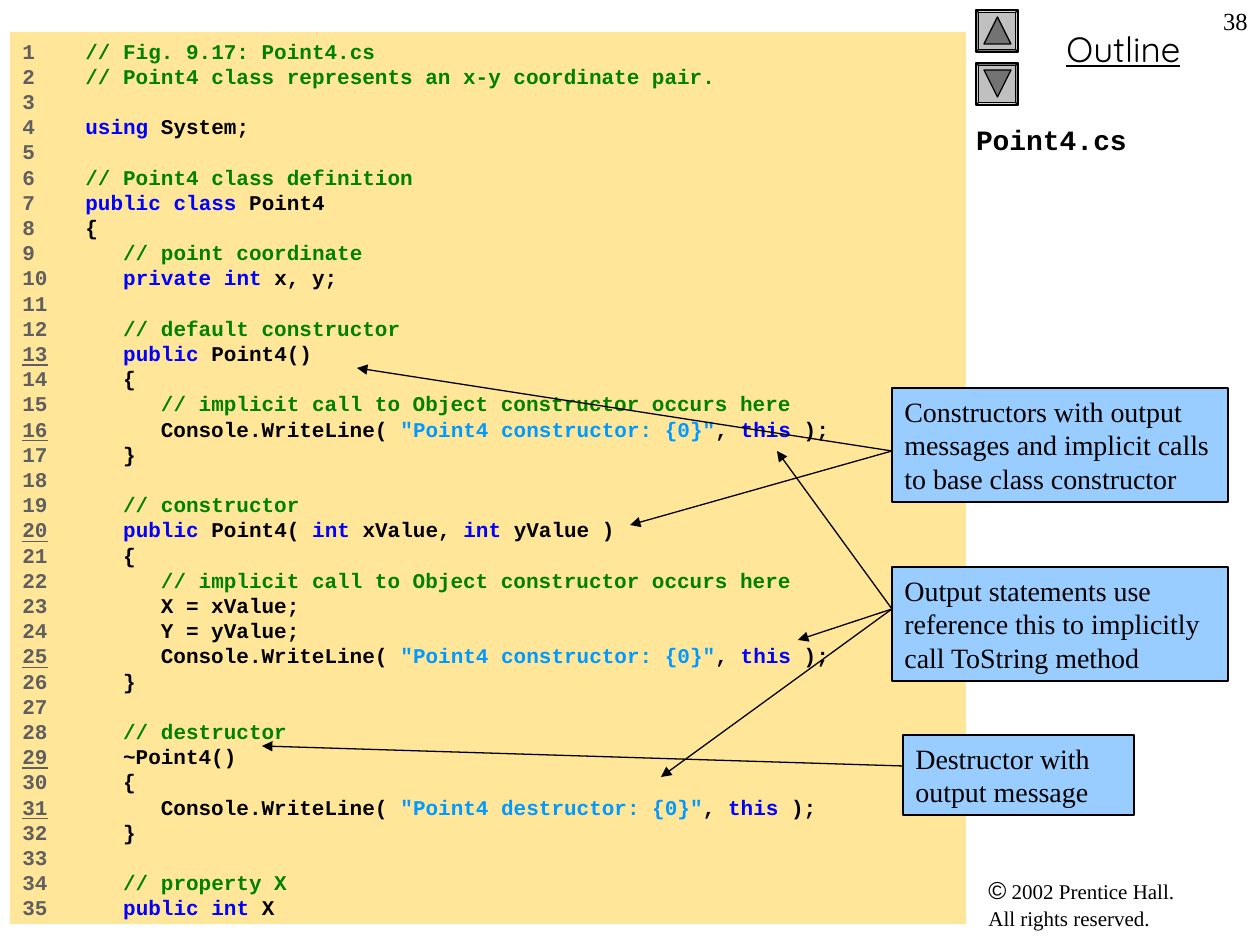
from itertools import groupby

from lxml import etree
from pptx import Presentation
from pptx.dml.color import RGBColor
from pptx.enum.shapes import MSO_CONNECTOR, MSO_SHAPE
from pptx.enum.text import MSO_ANCHOR, PP_ALIGN
from pptx.oxml.ns import qn
from pptx.util import Pt

EMU_PER_PX = 914400 / 126
LINE_FACTOR = 1.2
BLACK, NUMBER_GRAY = "000000", "5F5F5F"
COMMENT_GREEN, KEYWORD_BLUE, STRING_BLUE = "008000", "0000FF", "0099FF"
SERIF, MONO = "Times New Roman", "Courier New"
KEYWORDS = {"using", "public", "private", "class", "int", "this"}
UNDERLINED_NUMBERS = {13, 16, 20, 25, 29, 31}
GUTTER_WIDTH = 5

CODE = """\
// Fig. 9.17: Point4.cs
// Point4 class represents an x-y coordinate pair.

using System;

// Point4 class definition
public class Point4
{
   // point coordinate
   private int x, y;

   // default constructor
   public Point4()
   {
      // implicit call to Object constructor occurs here
      Console.WriteLine( "Point4 constructor: {0}", this );
   }

   // constructor
   public Point4( int xValue, int yValue )
   {
      // implicit call to Object constructor occurs here
      X = xValue;
      Y = yValue;
      Console.WriteLine( "Point4 constructor: {0}", this );
   }

   // destructor
   ~Point4()
   {
      Console.WriteLine( "Point4 destructor: {0}", this );
   }

   // property X
   public int X"""

# Box, text, height where the arrows start, arrow tips
CALLOUTS = [
    ((892, 388, 336, 114),
     "Constructors with output messages and implicit calls to base class constructor",
     451, [(357, 368), (630, 525)]),
    ((903, 735, 231, 80), "Destructor with output message", 766, [(262, 746)]),
    ((892, 567, 336, 114),
     "Output statements use reference this to implicitly call ToString method",
     609, [(777, 451), (798, 640), (661, 777)]),
]


def px(value):
    return round(value * EMU_PER_PX)


def color(hex_string):
    return RGBColor.from_string(hex_string)


def style_font(font, size, name, hex_string=BLACK, bold=False):
    font.size, font.name, font.bold = Pt(size), name, bold
    font.color.rgb = color(hex_string)


def add_box(slide, box, kind=MSO_SHAPE.RECTANGLE, fill="FFFFFF", outlined=True):
    shape = slide.shapes.add_shape(kind, *map(px, box))
    shape.shadow.inherit = False
    shape.fill.solid()
    shape.fill.fore_color.rgb = color(fill)
    if outlined:
        shape.line.color.rgb = color(BLACK)
        shape.line.width = Pt(0.75)
    else:
        shape.line.fill.background()
    return shape


def prepare_frame(shape):
    frame = shape.text_frame
    frame.word_wrap = True
    frame.vertical_anchor = MSO_ANCHOR.TOP
    return frame


def add_label(slide, box, text, size, name, align=PP_ALIGN.LEFT, bold=False):
    frame = prepare_frame(slide.shapes.add_textbox(*map(px, box)))
    paragraph = frame.paragraphs[0]
    paragraph.text = text
    paragraph.alignment = align
    style_font(paragraph.font, size, name, bold=bold)
    return frame


def code_tokens(line):
    """Yield (text, colour) pieces of one line of code."""
    if line.lstrip().startswith("//"):
        yield line, COMMENT_GREEN
        return
    for index, part in enumerate(line.split('"')):
        if index % 2:
            yield f'"{part}"', STRING_BLUE
            continue
        for _, letters in groupby(part, str.isalnum):
            word = "".join(letters)
            yield word, KEYWORD_BLUE if word in KEYWORDS else BLACK


def add_code(slide, box):
    frame = prepare_frame(add_box(slide, box, fill="FFE699", outlined=False))
    for number, line in enumerate(CODE.splitlines(), start=1):
        paragraph = frame.paragraphs[0] if number == 1 else frame.add_paragraph()
        paragraph.alignment = PP_ALIGN.LEFT
        paragraph.line_spacing = Pt(12 * LINE_FACTOR)
        style_font(paragraph.font, 12, MONO, bold=True)

        # Line number, then the gutter and the coloured code
        number_run = paragraph.add_run()
        number_run.text = str(number)
        number_run.font.color.rgb = color(NUMBER_GRAY)
        if number in UNDERLINED_NUMBERS:
            number_run.font.underline = True
        if not line:
            continue
        gutter = " " * (GUTTER_WIDTH - len(str(number)))
        tokens = [(gutter, BLACK), *code_tokens(line)]
        for hex_string, group in groupby(tokens, key=lambda token: token[1]):
            run = paragraph.add_run()
            run.text = "".join(text for text, _ in group)
            run.font.color.rgb = color(hex_string)


def add_arrow(slide, start, end):
    connector = slide.shapes.add_connector(
        MSO_CONNECTOR.STRAIGHT, *map(px, (*start, *end)))
    connector.line.color.rgb = color(BLACK)
    connector.line.width = Pt(0.75)
    properties = connector.element.spPr
    etree.SubElement(connector.line._get_or_add_ln(), qn("a:tailEnd"), type="triangle")
    etree.SubElement(properties, qn("a:effectLst"))


def add_callout(slide, box, text, start_y, tips):
    paragraph = prepare_frame(add_box(slide, box, fill="99CCFF")).paragraphs[0]
    paragraph.text = text
    paragraph.alignment = PP_ALIGN.LEFT
    paragraph.line_spacing = Pt(16 * LINE_FACTOR)
    style_font(paragraph.font, 16, SERIF)
    for tip in tips:
        add_arrow(slide, (box[0], start_y), tip)


def add_button(slide, left, top, bevel_rotation, triangle_rotation):
    bevel = add_box(slide, (left, top, 42, 42), MSO_SHAPE.BEVEL, "C0C0C0")
    bevel.adjustments[0] = 0.06
    bevel.rotation = bevel_rotation
    triangle = add_box(slide, (left + 8, top + 7, 27, 27),
                       MSO_SHAPE.ISOSCELES_TRIANGLE, "737373")
    triangle.rotation = triangle_rotation


def add_copyright(slide, box):
    frame = add_label(slide, box, "©", 12, SERIF)
    paragraph = frame.paragraphs[0]
    style_font(paragraph.runs[0].font, 14, "Arial")
    paragraph.line_spacing = Pt(15)
    paragraph.add_run().text = " 2002 Prentice Hall."
    paragraph.add_line_break()
    paragraph.add_run().text = "All rights reserved."


def main():
    presentation = Presentation()
    presentation.slide_width, presentation.slide_height = px(1260), px(945)
    slide = presentation.slides.add_slide(presentation.slide_layouts[6])

    # Side column
    add_copyright(slide, (976, 872, 273, 68))
    outline = add_label(slide, (987, 21, 273, 56), "Outline", 20, "Quicksand",
                        PP_ALIGN.CENTER)
    outline.paragraphs[0].font.underline = True
    add_button(slide, 976, 10, 90, 0)
    add_button(slide, 976, 63, 270, 180)
    title = add_label(slide, (976, 116, 284, 756), "Point4.cs", 16, MONO, bold=True)
    title.margin_left = 0
    title.paragraphs[0].line_spacing = Pt(16 * LINE_FACTOR)

    # Code listing with callouts
    add_code(slide, (10, 32, 956, 892))
    for callout in CALLOUTS:
        add_callout(slide, *callout)

    # Page number
    add_label(slide, (1197, 0, 63, 63), "38", 14, SERIF, PP_ALIGN.RIGHT)
    presentation.save("out.pptx")


if __name__ == "__main__":
    main()
